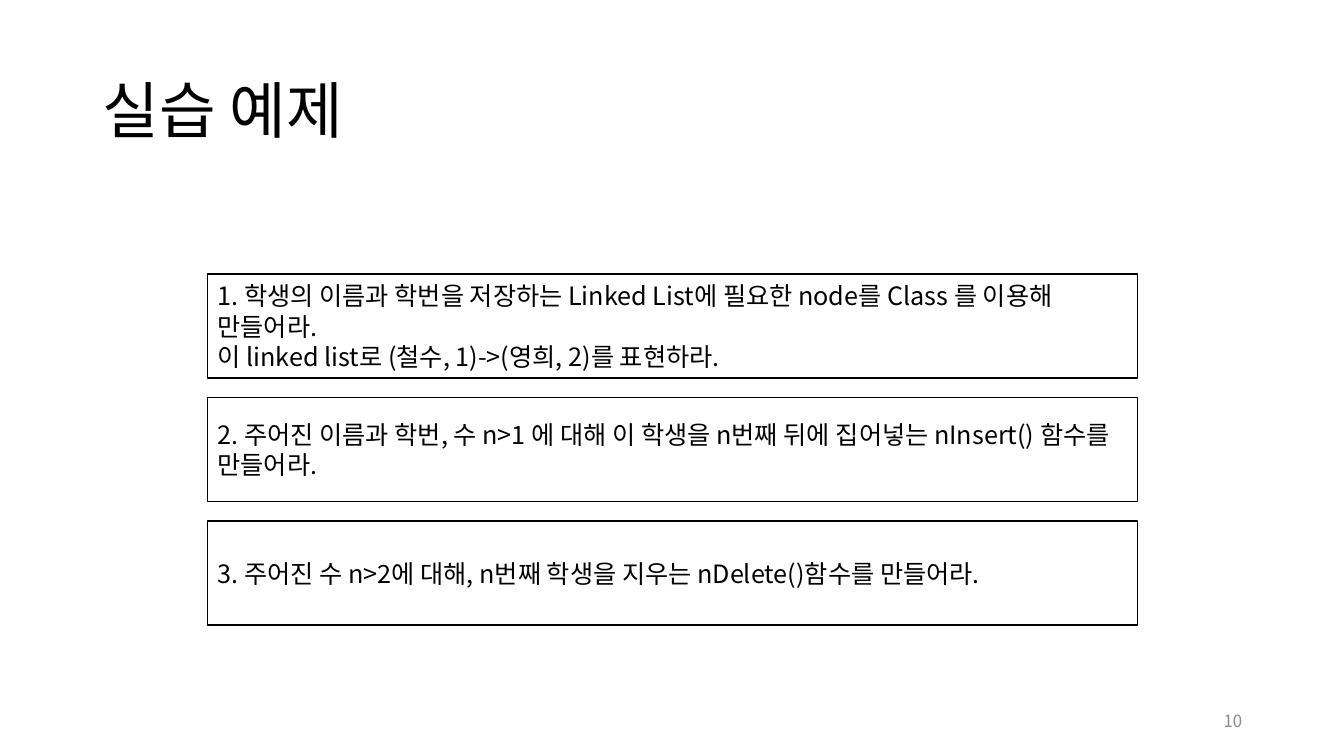
from lxml.etree import SubElement
from pptx import Presentation
from pptx.dml.color import RGBColor
from pptx.enum.shapes import MSO_SHAPE
from pptx.enum.text import MSO_ANCHOR, PP_ALIGN
from pptx.oxml.ns import qn
from pptx.util import Inches, Pt

FONT = "Noto Sans CJK KR"
EXERCISES = [
    ["1. 학생의 이름과 학번을 저장하는 Linked List에 필요한 node를 Class 를 이용해 만들어라.",
     "이 linked list로 (철수, 1)->(영희, 2)를 표현하라."],
    ["2. 주어진 이름과 학번, 수 n>1 에 대해 이 학생을 n번째 뒤에 집어넣는 nInsert() 함수를 만들어라."],
    ["3. 주어진 수 n>2에 대해, n번째 학생을 지우는 nDelete()함수를 만들어라."],
]


def color(hex_string):
    return RGBColor.from_string(hex_string)


def write(shape, lines, size, ink="000000", align=PP_ALIGN.LEFT, spacing=None):
    frame = shape.text_frame
    frame.word_wrap = True
    frame.vertical_anchor = MSO_ANCHOR.MIDDLE
    for index, line in enumerate(lines):
        para = frame.add_paragraph() if index else frame.paragraphs[0]
        para.alignment = align
        para.line_spacing = spacing
        span = para.add_run()
        span.text = line
        span.font.size = Pt(size)
        span.font.name = FONT
        span.font.color.rgb = color(ink)
        SubElement(span.font._element, qn("a:ea")).set("typeface", FONT)


def add_title(page, left, top, width, height):
    box = page.shapes.add_textbox(Inches(left), Inches(top), Inches(width), Inches(height))
    write(box, ["실습 예제"], 44, spacing=0.9)


def add_page_number(page, left, top, width, height):
    box = page.shapes.add_textbox(Inches(left), Inches(top), Inches(width), Inches(height))
    write(box, ["10"], 12, "8C8C8C", PP_ALIGN.RIGHT)


def add_exercises(page, left, top, width, height, gap):
    """Stack one framed box per exercise, each of the given height."""
    for index, lines in enumerate(EXERCISES):
        box = page.shapes.add_shape(
            MSO_SHAPE.RECTANGLE, Inches(left), Inches(top + index * (height + gap)),
            Inches(width), Inches(height))
        box.shadow.inherit = False
        box.fill.solid()
        box.fill.fore_color.rgb = color("FFFFFF")
        box.line.color.rgb = color("000000")
        box.line.width = Pt(1)
        write(box, lines, 18)


def main():
    deck = Presentation()
    deck.slide_width, deck.slide_height = Inches(13.33), Inches(7.5)
    page = deck.slides.add_slide(deck.slide_layouts[6])
    add_title(page, 0.92, 0.4, 11.5, 1.45)
    add_page_number(page, 9.42, 6.95, 3, 0.4)
    add_exercises(page, 2.06, 2.72, 9.22, 1.03, 0.195)
    deck.save("out.pptx")


if __name__ == "__main__":
    main()
